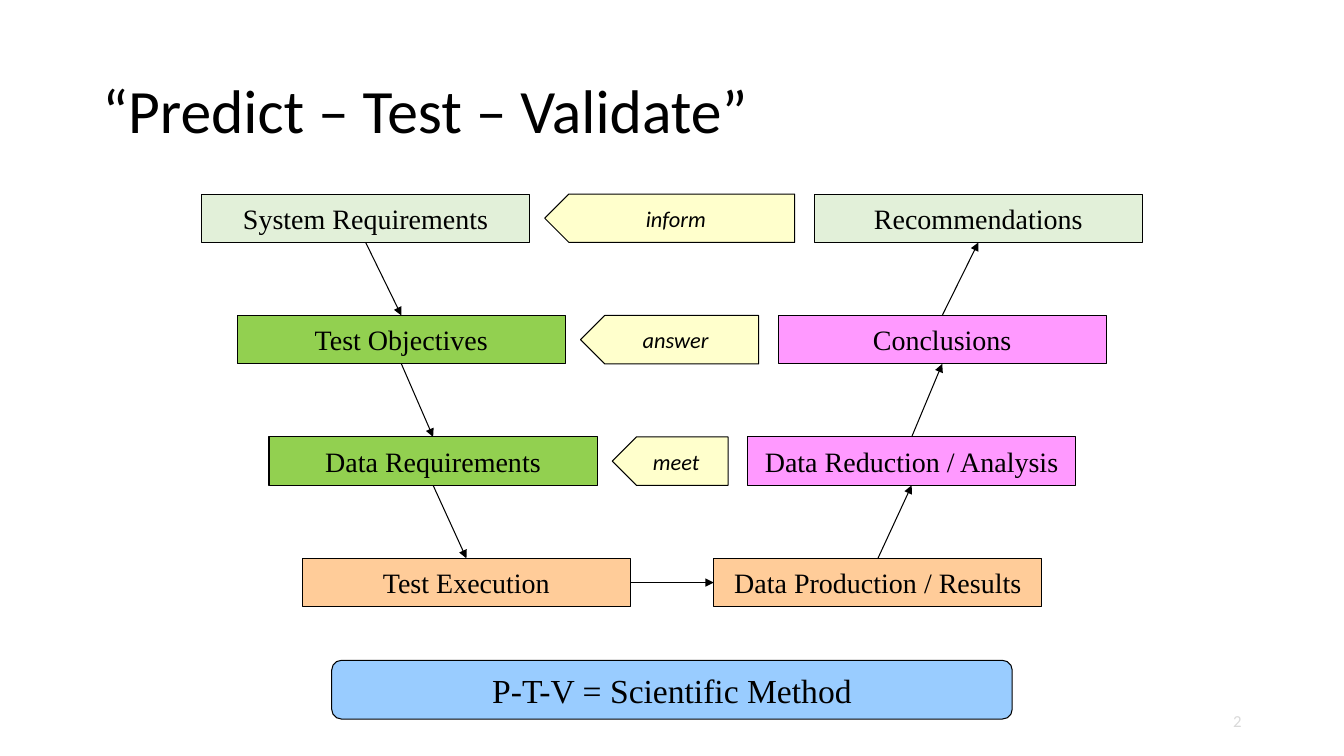
from lxml import etree
from pptx import Presentation
from pptx import util as u
from pptx.dml.color import RGBColor
from pptx.enum import shapes, text
from pptx.oxml import ns

COLORS = {
    "black": "000000", "mint": "E2F0D9", "green": "92D050", "orange": "FFCC99",
    "pink": "FF99FF", "cream": "FFFFCC", "blue": "99CCFF", "grey": "D9D9D9",
}
SERIF, SANS = "Times New Roman", "Calibri"
SHAPE = shapes.MSO_SHAPE
LEFT, CENTER, RIGHT = text.PP_ALIGN.LEFT, text.PP_ALIGN.CENTER, text.PP_ALIGN.RIGHT
TOP, BOTTOM = 0, 2  # connection sites of a rectangle
LEFT_SIDE, RIGHT_SIDE = 1, 3


def add_label(kind, box, words, size, font, fill=None, color="black", align=CENTER, italic=False):
    """Add a text box (kind None) or an outlined preset shape; box is in cm."""
    place = [u.Cm(v) for v in box]
    if kind is None:
        sp = s.shapes.add_textbox(*place)
    else:
        sp = s.shapes.add_shape(kind, *place)
        sp.shadow.inherit = False
        sp.fill.solid()
        sp.fill.fore_color.rgb = RGBColor.from_string(COLORS[fill])
        sp.line.color.rgb = RGBColor.from_string(COLORS["black"])
        sp.line.width = u.Pt(0.75)
    tf = sp.text_frame
    tf.word_wrap = True
    tf.vertical_anchor = text.MSO_ANCHOR.MIDDLE
    p = tf.paragraphs[0]
    p.alignment = align
    r = p.add_run()
    r.text = words
    r.font.size = u.Pt(size)
    r.font.name = font
    r.font.italic = italic
    r.font.color.rgb = RGBColor.from_string(COLORS[color])
    return sp


def add_arrow(start, start_site, end, end_site):
    c = s.shapes.add_connector(shapes.MSO_CONNECTOR.STRAIGHT, 0, 0, 0, 0)
    c.begin_connect(start, start_site)
    c.end_connect(end, end_site)
    c.line.color.rgb = RGBColor.from_string(COLORS["black"])
    c.line.width = u.Pt(0.75)
    etree.SubElement(c.line._get_or_add_ln(), ns.qn("a:tailEnd"), type="triangle")
    etree.SubElement(c._element.spPr, ns.qn("a:effectLst"))


prs = Presentation()
prs.slide_width, prs.slide_height = u.Cm(33.87), u.Cm(19.05)
s = prs.slides.add_slide(prs.slide_layouts[6])

title = add_label(None, (2.33, 1.02, 29.21, 3.68), "“Predict – Test – Validate”", 44, SANS, align=LEFT)
title.text_frame.paragraphs[0].line_spacing = 0.9

# Each row of the V: left x, left step, left fill, right x, right step, right fill, link word
rows = [
    (5.08, "System Requirements", "mint", 20.52, "Recommendations", "mint", "inform"),
    (5.98, "Test Objectives", "green", 19.61, "Conclusions", "pink", "answer"),
    (6.78, "Data Requirements", "green", 18.84, "Data Reduction / Analysis", "pink", "meet"),
    (7.62, "Test Execution", "orange", 17.99, "Data Production / Results", "orange", None),
]
FIRST_TOP, PITCH, STEP_W, STEP_H = 4.89, 3.06, 8.27, 1.22
GAP_BEFORE, GAP_AFTER = 0.38, 0.49

down, up = [], []
for i, (left_x, left_step, left_fill, right_x, right_step, right_fill, link) in enumerate(rows):
    top = FIRST_TOP + i * PITCH
    down.append(add_label(SHAPE.RECTANGLE, (left_x, top, STEP_W, STEP_H), left_step, 20, SERIF, left_fill))
    up.append(add_label(SHAPE.RECTANGLE, (right_x, top, STEP_W, STEP_H), right_step, 20, SERIF, right_fill))
    if link:
        tag_x = left_x + STEP_W + GAP_BEFORE
        tag_w = right_x - GAP_AFTER - tag_x
        tag = add_label(SHAPE.PENTAGON, (tag_x, top, tag_w, STEP_H), link, 16, SANS, "cream", italic=True)
        tag._element.spPr.xfrm.set("flipH", "1")

for i in range(len(rows) - 1):
    add_arrow(down[i], BOTTOM, down[i + 1], TOP)
    add_arrow(up[i + 1], TOP, up[i], BOTTOM)
add_arrow(down[-1], RIGHT_SIDE, up[-1], LEFT_SIDE)

add_label(SHAPE.ROUNDED_RECTANGLE, (8.36, 16.64, 17.15, 1.48), "P-T-V = Scientific Method", 24, SERIF, "blue")
add_label(None, (23.92, 17.66, 7.62, 1.01), "2", 12, SANS, color="grey", align=RIGHT)

prs.save("out.pptx")
